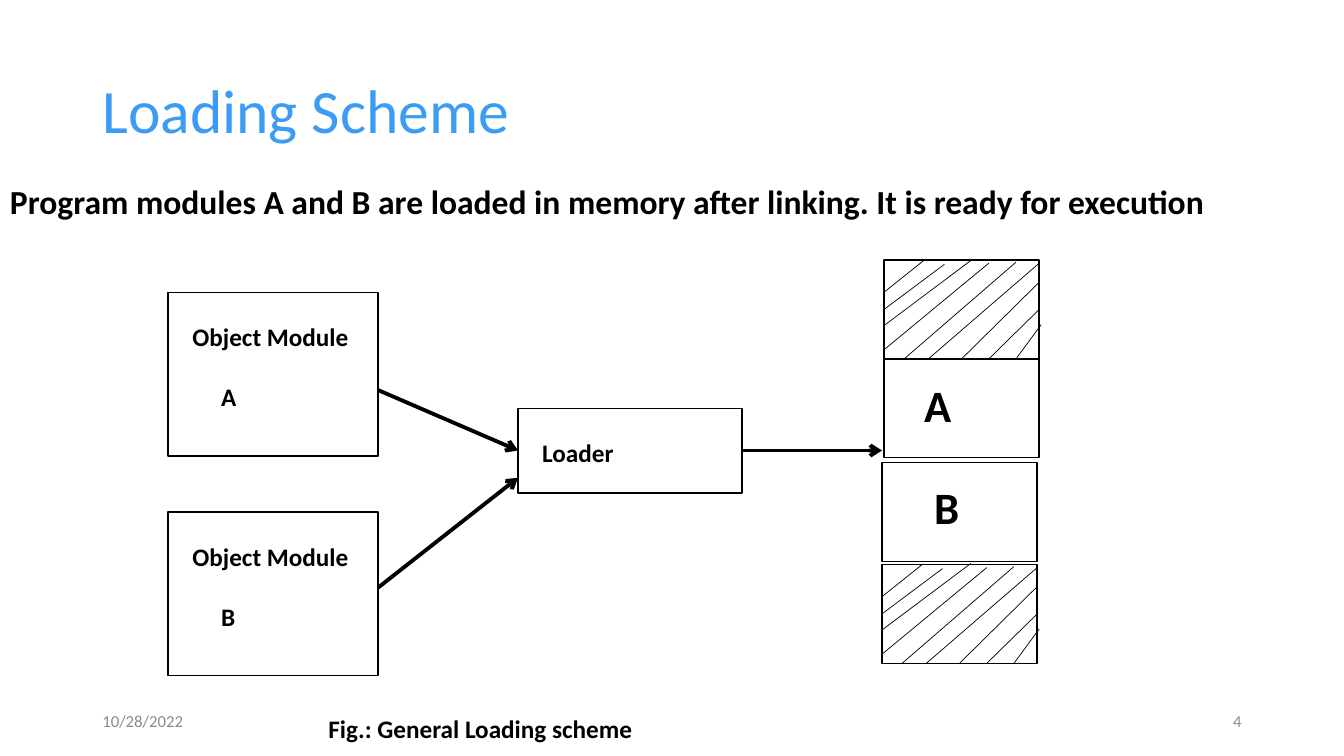
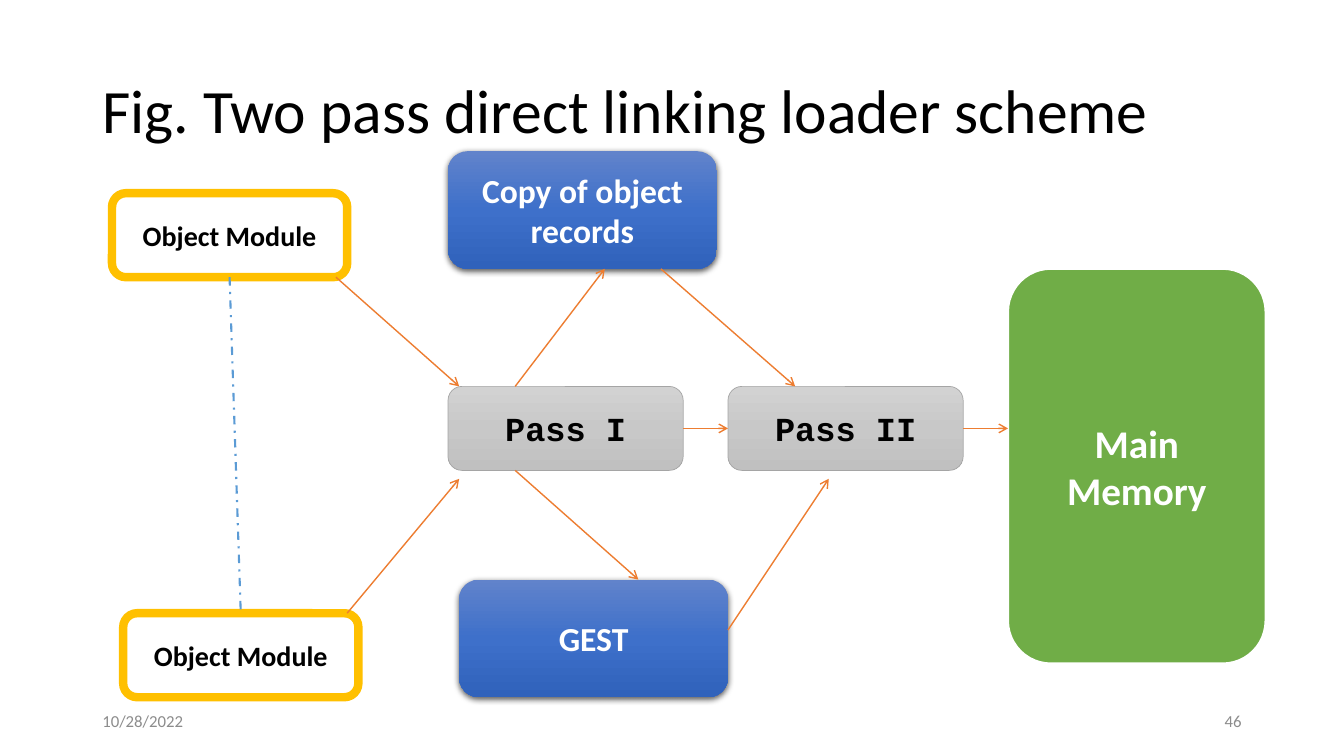
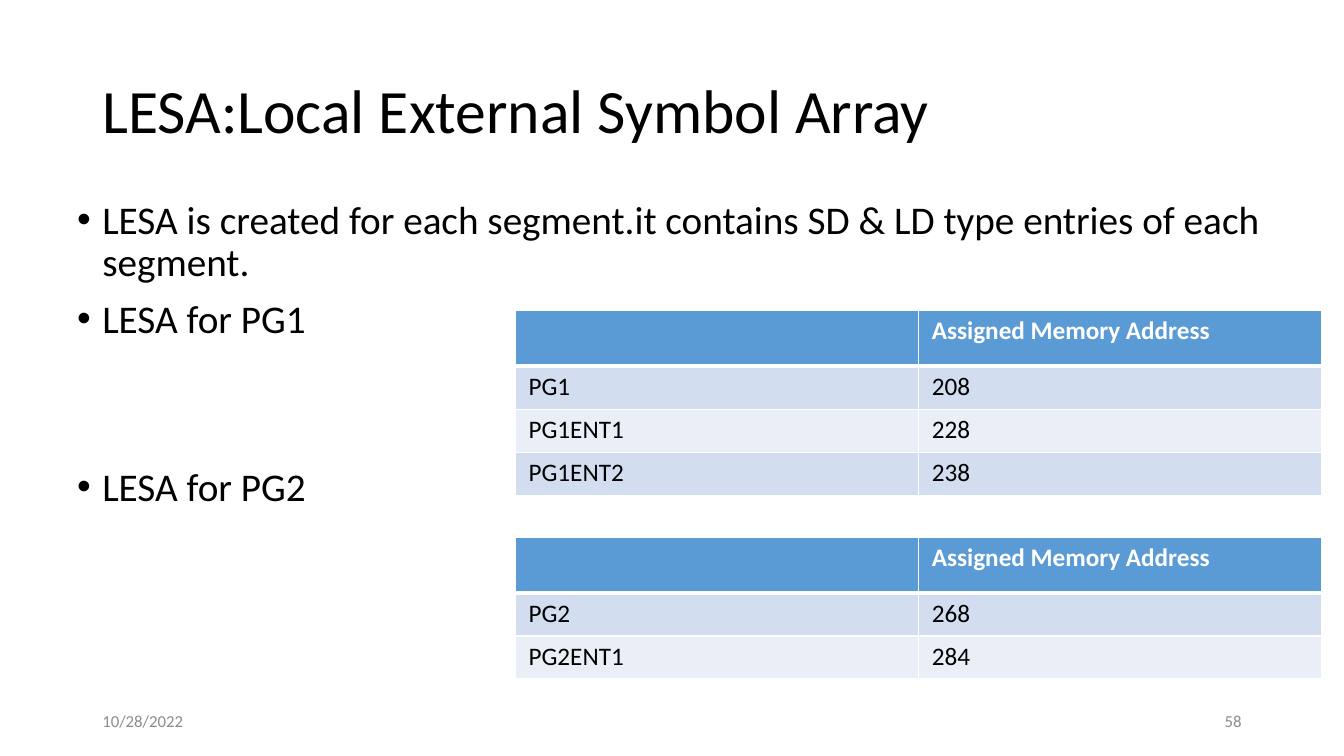
from pptx import Presentation
from pptx.dml.color import RGBColor
from pptx.enum.dml import MSO_LINE
from pptx.enum.shapes import MSO_CONNECTOR, MSO_SHAPE
from pptx.enum.text import MSO_ANCHOR, PP_ALIGN
from pptx.oxml import parse_xml
from pptx.oxml.ns import nsdecls, qn
from pptx.util import Pt

BLACK = RGBColor(0x00, 0x00, 0x00)
WHITE = RGBColor(0xFF, 0xFF, 0xFF)
TITLE_BLUE = RGBColor(0x3C, 0x9C, 0xF4)
FOOTER_GRAY = RGBColor(0x8C, 0x8C, 0x8C)
GOLD = RGBColor(0xFF, 0xC0, 0x00)
ORANGE = RGBColor(0xED, 0x7D, 0x31)
GREEN = RGBColor(0x70, 0xAD, 0x47)
LIGHT_BLUE = RGBColor(0x5B, 0x9B, 0xD5)
PASS_EDGE = RGBColor(0xA5, 0xA5, 0xA5)
BAND_DARK = RGBColor(0xD2, 0xDE, 0xEF)
BAND_LIGHT = RGBColor(0xEA, 0xEF, 0xF7)
BLUE_STOPS = [RGBColor(0x61, 0x83, 0xCB), RGBColor(0x3E, 0x70, 0xCA), RGBColor(0x30, 0x62, 0xBB)]
GRAY_STOPS = [RGBColor(0xD2, 0xD2, 0xD2), RGBColor(0xC8, 0xC8, 0xC8), RGBColor(0xC0, 0xC0, 0xC0)]


def add_box(slide, bounds, text="", size=18, color=BLACK, bold=True, kind=None, font="Calibri",
            align=PP_ALIGN.LEFT, anchor=MSO_ANCHOR.TOP, fill=None, line=None, line_width=1):
    """Add a text box, or a preset shape of the given kind, bounds in points."""
    lengths = [Pt(value) for value in bounds]
    if kind is None:
        shape = slide.shapes.add_textbox(*lengths)
    else:
        shape = slide.shapes.add_shape(kind, *lengths)
        shape.shadow.inherit = False
        if isinstance(fill, list):
            stops = "".join(f'<a:gs pos="{index * 50000}"><a:srgbClr val="{stop}"/></a:gs>'
                            for index, stop in enumerate(fill))
            shape._element.spPr.find(qn("a:prstGeom")).addnext(parse_xml(
                f'<a:gradFill {nsdecls("a")}><a:gsLst>{stops}</a:gsLst><a:lin ang="5400000"/></a:gradFill>'))
        elif fill is None:
            shape.fill.background()
        else:
            shape.fill.solid()
            shape.fill.fore_color.rgb = fill
        if line is None:
            shape.line.fill.background()
        else:
            shape.line.color.rgb = line
            shape.line.width = Pt(line_width)
    frame = shape.text_frame
    frame.word_wrap = True
    frame.vertical_anchor = anchor
    frame.text = text
    for paragraph in frame.paragraphs:
        paragraph.alignment = align
        for run in paragraph.runs:
            run.font.name = font
            run.font.size = Pt(size)
            run.font.bold = bold
            run.font.color.rgb = color
    return shape


def add_line(slide, start, end, color, width, arrow=True):
    """Add a straight line between two points, with an open arrowhead if wanted."""
    line = slide.shapes.add_connector(MSO_CONNECTOR.STRAIGHT, *[Pt(value) for value in start + end])
    line.line.color.rgb = color
    line.line.width = Pt(width)
    if arrow:
        line.line._get_or_add_ln().append(parse_xml(f'<a:tailEnd {nsdecls("a")} type="arrow"/>'))
    line._element.spPr.append(parse_xml(f'<a:effectLst {nsdecls("a")}/>'))
    return line


presentation = Presentation()
presentation.slide_width = Pt(960)
presentation.slide_height = Pt(540)

# Title, date and number of every slide
slides = []
for title, number, title_color in [
    ("Loading Scheme", "4", TITLE_BLUE),
    ("Fig. Two pass direct linking loader scheme", "46", BLACK),
    ("LESA:Local External Symbol Array", "58", BLACK),
]:
    slide = presentation.slides.add_slide(presentation.slide_layouts[6])
    heading = add_box(slide, (66, 28.8, 828, 104.4), title, 44, title_color, False, anchor=MSO_ANCHOR.MIDDLE)
    heading.text_frame.paragraphs[0].line_spacing = 0.9
    for left, text, align in [(66, "10/28/2022", PP_ALIGN.LEFT), (678, number, PP_ALIGN.RIGHT)]:
        add_box(slide, (left, 500.4, 216, 28.8), text, 12, FOOTER_GRAY, False,
                align=align, anchor=MSO_ANCHOR.MIDDLE)
    slides.append(slide)
loading_slide, two_pass_slide, lesa_slide = slides

# Loading scheme: object modules and loader
for top, letter in [(208.8, "A"), (365.8, "B")]:
    add_box(loading_slide, (120, top, 150, 116.9), kind=MSO_SHAPE.RECTANGLE, line=BLACK)
    label = add_box(loading_slide, (130.3, top + 17.3, 140.4, 72), f"Object Module\n{letter}")
    letter_paragraph = label.text_frame.paragraphs[1]
    letter_paragraph.space_before = Pt(21.4)
    letter_paragraph._p.get_or_add_pPr().set("marL", str(Pt(20.5)))
add_box(loading_slide, (370, 291.6, 160, 60.5), kind=MSO_SHAPE.RECTANGLE, line=BLACK)
add_box(loading_slide, (380.2, 308.9, 140.4, 28.8), "Loader")
for start, end in [((270, 278.6), (370, 321.8)), ((270, 419.8), (370, 341.3)), ((530, 321.8), (630, 321.8))]:
    add_line(loading_slide, start, end, BLACK, 2.75)

# Loading scheme: memory blocks, the outer two hatched
hatch_lines = [
    ((28.8, 0), (0, 23)), ((43.2, 3), (0, 35.3)), ((63.4, -0.7), (0, 46.8)),
    ((74.9, 2.2), (0, 64.1)), ((94.3, 1.5), (14.4, 70.6)), ((110.9, 2.2), (31.7, 70.6)),
    ((110.9, 15.8), (55.4, 70.6)), ((110.9, 35.3), (74.9, 70.6)), ((112.3, 46.1), (94.3, 70.6)),
]
for left, top, hatched in [(631.4, 185.8, True), (631.4, 256.3, False),
                           (630, 330.5, False), (630, 403.2, True)]:
    add_box(loading_slide, (left, top, 110.9, 70.6), kind=MSO_SHAPE.RECTANGLE, line=BLACK)
    if hatched:
        for (start_x, start_y), (end_x, end_y) in hatch_lines:
            add_line(loading_slide, (left + start_x, top + start_y), (left + end_x, top + end_y),
                     BLACK, 0.5, arrow=False)
add_box(loading_slide, (653, 266.4, 60.5, 46), "A", 32)
add_box(loading_slide, (660.2, 339.1, 60.5, 46), "B", 32)
add_box(loading_slide, (227.5, 506.2, 493.2, 28.8), "Fig.: General Loading scheme")
add_box(loading_slide, (0, 126, 960, 36),
        "Program modules A and B are loaded in memory after linking. It is ready for execution", 24)

# Two pass loader: rounded boxes
centered_round = {"kind": MSO_SHAPE.ROUNDED_RECTANGLE, "align": PP_ALIGN.CENTER, "anchor": MSO_ANCHOR.MIDDLE}
for left, top in [(80, 138), (88, 438)]:
    add_box(two_pass_slide, (left, top, 168, 60), "Object Module", 20,
            fill=WHITE, line=GOLD, line_width=6, **centered_round)
for left, top, text in [(328, 414, "GEST"), (320, 108, "Copy of object records")]:
    record_box = add_box(two_pass_slide, (left, top, 192, 84), text, 24, WHITE,
                         fill=BLUE_STOPS, **centered_round)
    record_box._element.spPr.find(qn("a:effectLst")).append(parse_xml(
        f'<a:outerShdw {nsdecls("a")} blurRad="57150" dist="19050" dir="5400000" algn="ctr" rotWithShape="0">'
        '<a:srgbClr val="000000"><a:alpha val="63000"/></a:srgbClr></a:outerShdw>'))
for left, text in [(520, "Pass II"), (320, "Pass I")]:
    add_box(two_pass_slide, (left, 276, 168, 60), text, 24, font="Courier New",
            fill=GRAY_STOPS, line=PASS_EDGE, line_width=0.5, **centered_round)
add_box(two_pass_slide, (720, 192, 184, 282), "Main Memory", 28, WHITE,
        fill=GREEN, line=WHITE, line_width=1.5, **centered_round)

# Two pass loader: arrows and the dashed link between modules
for start, end in [
    ((240, 198), (328, 276)), ((472, 192), (568, 276)), ((368, 336), (456, 414)), ((248, 438), (328, 342)),
    ((368, 276), (432, 192)), ((520, 450), (592, 342)), ((488, 306), (520, 306)), ((688, 306), (720, 306)),
]:
    add_line(two_pass_slide, start, end, ORANGE, 1)
module_link = add_line(two_pass_slide, (164, 198), (172, 438), LIGHT_BLUE, 1.5, arrow=False)
module_link.line.dash_style = MSO_LINE.DASH_DOT

# LESA: bullets
bullets = add_box(
    lesa_slide, (48, 139.7, 912, 364.3),
    "LESA is created for each segment.it contains SD & LD type entries of each segment.\n"
    "LESA for PG1\nLESA for PG2", 28, bold=False)
for paragraph, space_before in zip(bullets.text_frame.paragraphs, (0, 10, 90)):
    paragraph.line_spacing = 0.9
    paragraph.space_before = Pt(space_before)
    properties = paragraph._p.get_or_add_pPr()
    properties.set("marL", str(Pt(18)))
    properties.set("indent", str(Pt(-18)))
    properties.append(parse_xml(f'<a:buFont {nsdecls("a")} typeface="Arial"/>'))
    properties.append(parse_xml(f'<a:buChar {nsdecls("a")} char="•"/>'))

# LESA: address tables
for top, entries in [
    (222, [("PG1", "208"), ("PG1ENT1", "228"), ("PG1ENT2", "238")]),
    (384, [("PG2", "268"), ("PG2ENT1", "284")]),
]:
    rows = [("", "Assigned Memory Address")] + entries
    heights = [39.6] + [30.7] * len(entries)
    table = lesa_slide.shapes.add_table(len(rows), 2, Pt(368), Pt(top), Pt(576), Pt(sum(heights))).table
    table.first_row = False
    table.horz_banding = False
    for column in table.columns:
        column.width = Pt(288)
    for row_index, values in enumerate(rows):
        table.rows[row_index].height = Pt(heights[row_index])
        is_header = row_index == 0
        for column_index, value in enumerate(values):
            cell = table.cell(row_index, column_index)
            cell.margin_left = cell.margin_right = Pt(9.6)
            cell.margin_top = cell.margin_bottom = Pt(3.6)
            cell_properties = cell._tc.get_or_add_tcPr()
            for side, width in [("L", 1), ("R", 1), ("T", 3 if row_index == 1 else 1),
                                ("B", 3 if is_header else 1)]:
                cell_properties.append(parse_xml(
                    f'<a:ln{side} {nsdecls("a")} w="{Pt(width)}"><a:solidFill>'
                    f'<a:srgbClr val="{WHITE}"/></a:solidFill></a:ln{side}>'))
            cell.fill.solid()
            cell.fill.fore_color.rgb = LIGHT_BLUE if is_header else (BAND_LIGHT, BAND_DARK)[row_index % 2]
            cell.text_frame.text = value
            for run in cell.text_frame.paragraphs[0].runs:
                run.font.name = "Calibri"
                run.font.size = Pt(18)
                run.font.bold = is_header
                run.font.color.rgb = WHITE if is_header else BLACK

presentation.save("out.pptx")
